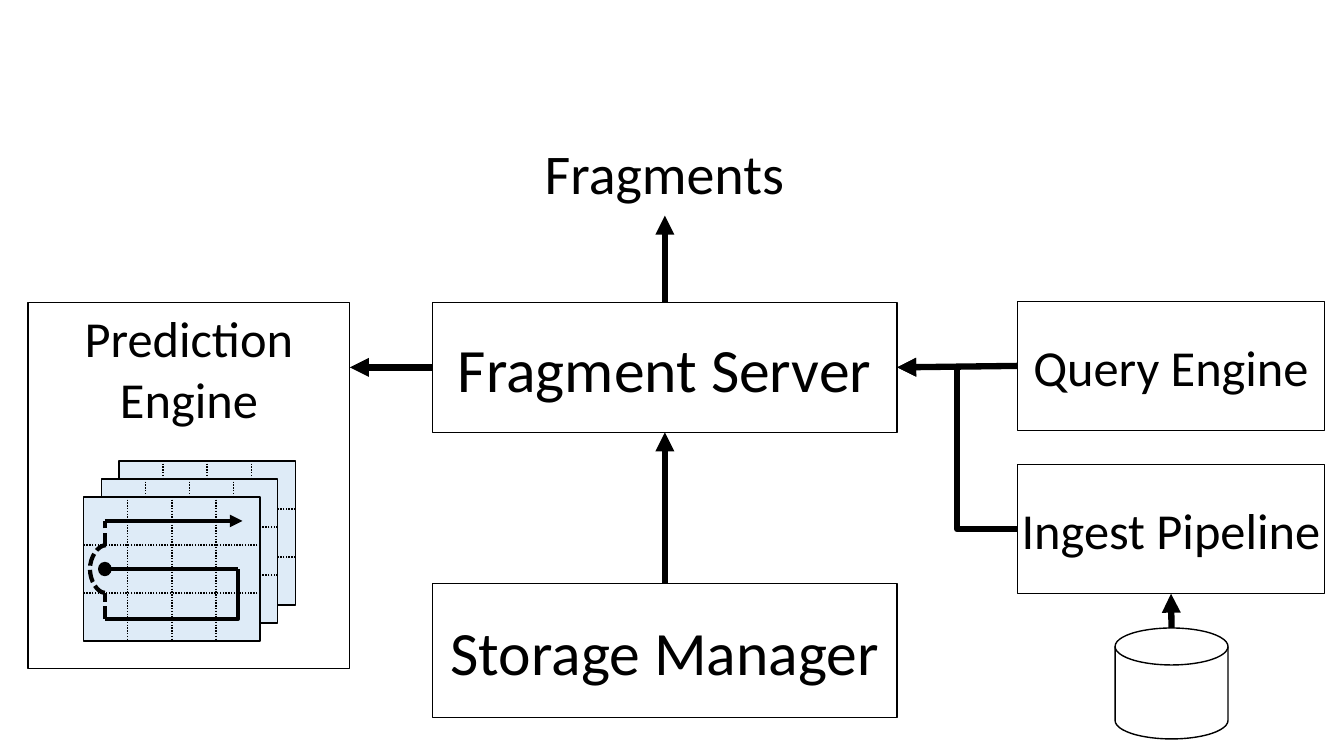
from dataclasses import dataclass

from lxml import etree
from pptx import Presentation
from pptx import util as u
from pptx.dml.color import RGBColor
from pptx.enum import dml, shapes, text
from pptx.oxml import ns

BLACK = RGBColor(0x00, 0x00, 0x00)
WHITE = RGBColor(0xFF, 0xFF, 0xFF)
SHEET_BLUE = RGBColor(0xDE, 0xEB, 0xF7)
FONT = "Calibri"
TOP, LEFT, BOTTOM, RIGHT = range(4)
STRAIGHT = shapes.MSO_CONNECTOR.STRAIGHT
ELBOW = shapes.MSO_CONNECTOR.ELBOW
CURVE = shapes.MSO_CONNECTOR.CURVE
DASH = dml.MSO_LINE.SQUARE_DOT  # sysDash
DOTS = dml.MSO_LINE.ROUND_DOT  # sysDot


@dataclass
class Box:
    """An area whose inner places are given in percent of its size."""
    left: int
    top: int
    width: int
    height: int

    def point(self, x, y):
        return (int(self.left + self.width * x / 100),
                int(self.top + self.height * y / 100))

    def area(self, x, y, width, height):
        return Box(*self.point(x, y), int(self.width * width / 100),
                   int(self.height * height / 100))

    def frame(self):
        return self.left, self.top, self.width, self.height


def write(shape, words, size):
    paragraph = shape.text_frame.paragraphs[0]
    paragraph.text = words
    paragraph.alignment = text.PP_ALIGN.CENTER
    paragraph.font.name = FONT
    paragraph.font.size = u.Pt(size)
    paragraph.font.color.rgb = BLACK


def draw_shape(canvas, box, kind=shapes.MSO_SHAPE.RECTANGLE, fill=WHITE):
    shape = canvas.add_shape(kind, *box.frame())
    shape.shadow.inherit = False
    shape.fill.solid()
    shape.fill.fore_color.rgb = fill
    shape.line.color.rgb = BLACK
    shape.line.width = u.Pt(1)
    return shape


def draw_block(canvas, box, words, size, inset=0.1, anchor=text.MSO_ANCHOR.MIDDLE):
    block = draw_shape(canvas, box)
    frame = block.text_frame
    frame.word_wrap = True
    frame.vertical_anchor = anchor
    frame.margin_left = frame.margin_right = u.Inches(inset)
    write(block, words, size)
    return block


def draw_line(canvas, begin, end, width=4.5, kind=STRAIGHT, dash=None,
              arrow=False, bend=None):
    """Draw a connector; bend places its turn as a share of its width."""
    line = canvas.add_connector(kind, *begin, *end)
    line.line.color.rgb = BLACK
    line.line.width = u.Pt(width)
    if dash:
        line.line.dash_style = dash
    properties = line._element.spPr
    if arrow:
        etree.SubElement(properties.find(ns.qn("a:ln")), ns.qn("a:tailEnd"),
                         type="triangle")
    if bend is not None:
        guides = properties.find(ns.qn("a:prstGeom")).get_or_add_avLst()
        etree.SubElement(guides, ns.qn("a:gd"), name="adj1",
                         fmla=f"val {int(bend * 100000)}")
    etree.SubElement(properties, ns.qn("a:effectLst"))
    return line


def draw_sheet(canvas, box):
    """A sheet ruled into four columns and three rows."""
    draw_shape(canvas, box, fill=SHEET_BLUE)
    for column in (1, 2, 3):
        x = 25 * column
        draw_line(canvas, box.point(x, 0), box.point(x, 100), 1, dash=DOTS)
    for row in (1, 2):
        y = 100 * row / 3
        draw_line(canvas, box.point(100, y), box.point(0, y), 1, dash=DOTS)


def draw_route(canvas, box):
    """The walk over the front sheet: dot, loop back, dashed rise, arrow."""
    start, turn = 12, 87.5
    upper, middle, lower = 16.67, 50, 84.5
    rise_low, rise_high = 66.5, 33.5
    draw_line(canvas, box.point(start, middle), box.point(turn, middle), 3)
    draw_shape(canvas, box.area(8.5, 45.5, 7, 9), shapes.MSO_SHAPE.OVAL, BLACK)
    draw_line(canvas, box.point(turn, middle), box.point(start, lower), 3,
              ELBOW, bend=0)
    for low, high in ((lower, rise_low), (rise_high, upper)):
        draw_line(canvas, box.point(start, low), box.point(start, high), 3, dash=DASH)
    draw_line(canvas, box.point(start, rise_low), box.point(start + 0.57, rise_high),
              3, CURVE, DASH, bend=-15)
    draw_line(canvas, box.point(start, upper), box.point(90, upper), 3, arrow=True)


def draw_prediction_engine(slide, box):
    canvas = slide.shapes.add_group_shape().shapes
    draw_block(canvas, box, "Prediction Engine", 36, anchor=text.MSO_ANCHOR.TOP)
    for depth in (2, 1, 0):
        sheet = box.area(17.24 + 5.49 * depth, 53.17 - 4.93 * depth, 54.86, 39.39)
        draw_sheet(canvas, sheet)
    draw_route(canvas, sheet)


def draw_core(slide, box):
    """Storage below, server in the middle, label on top; returns the server."""
    canvas = slide.shapes
    storage = draw_block(canvas, box.area(0, 77.03, 100, 22.97), "Storage Manager", 44)
    server = draw_block(canvas, box.area(0, 28.84, 100, 22.28), "Fragment Server", 44)
    label = canvas.add_textbox(*box.area(21.69, 0, 56.4, 13.3).frame())
    label.text_frame.word_wrap = False
    label.text_frame.auto_size = text.MSO_AUTO_SIZE.SHAPE_TO_FIT_TEXT
    write(label, "Fragments", 40)

    supply = draw_line(canvas, box.point(50, 77.03), box.point(50, 51.12), arrow=True)
    supply.begin_connect(storage, TOP)
    supply.end_connect(server, BOTTOM)
    output = draw_line(canvas, box.point(50, 28.84), box.point(50, 13.99), arrow=True)
    output.begin_connect(server, TOP)
    return server


def draw_sources(slide, box, server):
    """Query engine, ingest pipeline and its store, all feeding the server."""
    canvas = slide.shapes
    inlet = (server.left + server.width, server.top + server.height // 2)
    for words, top, kind in (("Query Engine", 0, STRAIGHT),
                             ("Ingest Pipeline", 37.33, ELBOW)):
        place = box.area(0, top, 100, 29.49)
        block = draw_block(canvas, place, words, 36, inset=0)
        feed = draw_line(canvas, place.point(0, 50), inlet, kind=kind, arrow=True)
        feed.begin_connect(block, LEFT)
        feed.end_connect(server, RIGHT)
    store = box.area(31.8, 74.65, 36.72, 25.35)
    draw_shape(canvas, store, shapes.MSO_SHAPE.FLOWCHART_MAGNETIC_DISK)
    load = draw_line(canvas, store.point(50, 0), place.point(50, 100), arrow=True)
    load.end_connect(block, BOTTOM)


def main():
    presentation = Presentation()
    presentation.slide_width = u.Inches(13.33)
    presentation.slide_height = u.Inches(7.5)
    slide = presentation.slides.add_slide(presentation.slide_layouts[6])
    page = Box(0, 0, presentation.slide_width, presentation.slide_height)

    server = draw_core(slide, page.area(32.18, 17.73, 34.58, 77.2))
    prediction = page.area(2.1, 40, 23.93, 48.4)
    draw_prediction_engine(slide, prediction)
    draw_sources(slide, page.area(75.69, 39.87, 22.88, 57.87), server)
    outlet = (server.left, server.top + server.height // 2)
    forecast = draw_line(slide.shapes, outlet,
                         (prediction.left + prediction.width, outlet[1]), arrow=True)
    forecast.begin_connect(server, LEFT)
    presentation.save("out.pptx")


if __name__ == "__main__":
    main()
